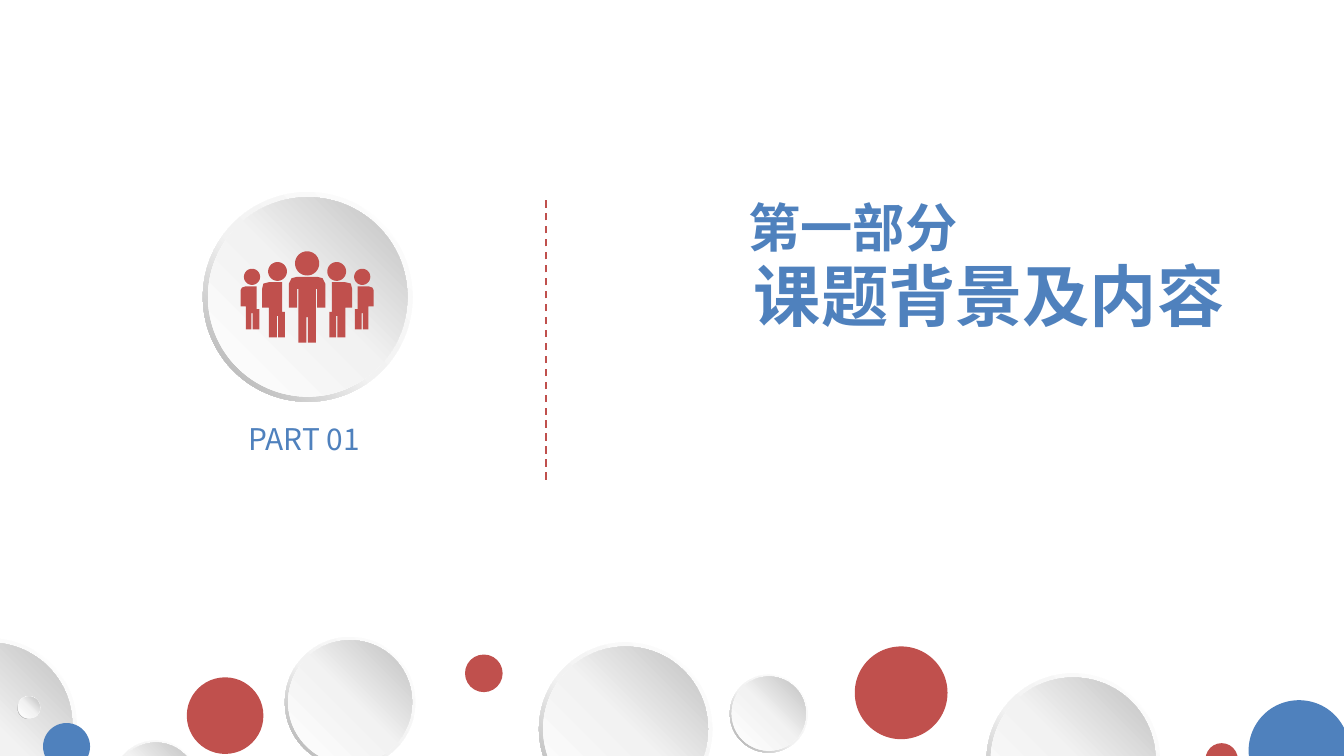
import copy
import math

import pptx
import pptx.dml.color
import pptx.enum.dml
import pptx.enum.shapes
import pptx.enum.text
import pptx.oxml
import pptx.oxml.ns
import pptx.util

Inches = pptx.util.Inches
Pt = pptx.util.Pt
Shape = pptx.enum.shapes.MSO_SHAPE
Align = pptx.enum.text.PP_ALIGN
qn = pptx.oxml.ns.qn

# Theme: gradients are (position, colour) stops with a counter-clockwise angle
THEME = {
    "font": "Noto Sans CJK SC",
    "blue": "4F81BD",
    "red": "C0504D",
    "rim": ([(0, "FFFFFF"), (0.55, "F2F2F2"), (1, "A6A6A6")], 225),
    "face": ([(0, "FFFFFF"), (0.51, "F2F2F2"), (1, "BFBFBF")], 45),
    "part": 28, "heading": 36, "label": 16,
    "title_spacing": 0.96, "label_spacing": 1.0, "rim_width": 0.049,
}

# Content
TITLE_LINES = [("第一部分", "part", Align.LEFT), ("课题背景及内容", "heading", Align.CENTER)]
LABEL_LINES = [("PART 01", "label", Align.LEFT)]

# Buttons: left, top, diameter, finish
BADGE = (1.51, 1.43, 1.56, "pearl")
BUBBLES = [
    (4.01, 4.78, 1.29, "pearl"), (6.36, 4.81, 0.69, "red"),
    (2.12, 4.74, 0.97, "pearl"), (9.29, 5.21, 0.75, "blue"),
    (0.84, 5.51, 0.64, "pearl"), (3.46, 4.87, 0.28, "red"),
    (5.43, 5.02, 0.58, "pearl"), (7.34, 5.01, 1.29, "pearl"),
    (8.97, 5.53, 0.24, "red"), (-0.72, 4.75, 1.29, "pearl"),
    (1.39, 5.04, 0.57, "red"), (0.32, 5.38, 0.35, "blue"),
    (0.13, 5.18, 0.17, "pearl"),
]

# People icon: heads are (centre x, centre y, radius); the right side mirrors the left
AXIS = 2.285
UNITS_PER_INCH = 10000
LEADER_HEAD = (AXIS, 1.96, 0.09)
LEADER_HALF = [
    (2.28, 2.36), (2.28, 2.55), (2.22, 2.55), (2.22, 2.15), (2.21, 2.15),
    (2.21, 2.29), (2.15, 2.29), (2.15, 2.11), (2.17, 2.07), (2.21, 2.06),
]
SIDE_HEADS = [(2.065, 2.02, 0.07), (1.875, 2.06, 0.06)]
SIDE_BODIES = [
    [(2.12, 2.32), (2.12, 2.51), (2.07, 2.51), (2.07, 2.35), (2.06, 2.35),
     (2.06, 2.51), (2.00, 2.51), (2.00, 2.29), (1.95, 2.29), (1.95, 2.15),
     (1.96, 2.11), (2.00, 2.10), (2.10, 2.10), (2.10, 2.32)],
    [(1.93, 2.30), (1.93, 2.45), (1.88, 2.45), (1.88, 2.33), (1.87, 2.33),
     (1.87, 2.45), (1.83, 2.45), (1.83, 2.28), (1.79, 2.28), (1.79, 2.16),
     (1.80, 2.14), (1.83, 2.13), (1.91, 2.13), (1.91, 2.30)],
]


def rgb(name):
    return pptx.dml.color.RGBColor.from_string(THEME.get(name, name))


def paint(shape, finish):
    """Fill a shape with a theme colour or gradient, without line or shadow."""
    shape.shadow.inherit = False
    shape.line.fill.background()
    if isinstance(THEME[finish], str):
        shape.fill.solid()
        shape.fill.fore_color.rgb = rgb(finish)
        return
    stops, angle = THEME[finish]
    shape.fill.gradient()
    shape.fill.gradient_angle = angle
    stop_list = shape._element.spPr.find(qn("a:gradFill")).find(qn("a:gsLst"))
    stop_list.append(copy.deepcopy(stop_list[0]))
    for stop, (position, colour) in zip(shape.fill.gradient_stops, stops):
        stop.position = position
        stop.color.rgb = rgb(colour)


def add_button(page, left, top, size, finish):
    """A thin ring around a disc."""
    rim, face = ("rim", "face") if finish == "pearl" else (finish, finish)
    inset = size * THEME["rim_width"] / 2
    for kind, gap, fill in ((Shape.DONUT, 0, rim), (Shape.OVAL, inset, face)):
        side = Inches(size - 2 * gap)
        shape = page.shapes.add_shape(kind, Inches(left + gap), Inches(top + gap), side, side)
        if kind == Shape.DONUT:
            shape.adjustments[0] = THEME["rim_width"]
        paint(shape, fill)


def mirror(points):
    return [(2 * AXIS - x, y) for x, y in points]


def circle(x, y, radius, steps=36):
    angles = [2 * math.pi * step / steps for step in range(steps)]
    return [(x + radius * math.cos(a), y + radius * math.sin(a)) for a in angles]


def add_people(page):
    sides = [circle(*head) for head in SIDE_HEADS] + SIDE_BODIES
    leader = LEADER_HALF + mirror(LEADER_HALF)[::-1]
    outlines = [circle(*LEADER_HEAD), leader] + sides + [mirror(side) for side in sides]
    outlines = [[(round(x * UNITS_PER_INCH), round(y * UNITS_PER_INCH)) for x, y in outline]
                for outline in outlines]
    builder = page.shapes.build_freeform(*outlines[0][0], scale=Inches(1) / UNITS_PER_INCH)
    for number, outline in enumerate(outlines):
        if number:
            builder.move_to(*outline[0])
        builder.add_line_segments(outline[1:], close=True)
    paint(builder.convert_to_shape(), "red")


def write(box, lines, bold, spacing, margins):
    frame = box.text_frame
    settings = {"word_wrap": True, "vertical_anchor": pptx.enum.text.MSO_ANCHOR.TOP,
                "auto_size": pptx.enum.text.MSO_AUTO_SIZE.NONE}
    settings.update(zip(("margin_left", "margin_top", "margin_right", "margin_bottom"), margins))
    for name, value in settings.items():
        setattr(frame, name, value)
    for number, (text, size, align) in enumerate(lines):
        para = frame.add_paragraph() if number else frame.paragraphs[0]
        para.alignment = align
        para.line_spacing = THEME[spacing]
        para.space_before = Pt(0)
        span = para.add_run()
        span.text = text
        for name, value in {"name": THEME["font"], "size": Pt(THEME[size]), "bold": bold}.items():
            setattr(span.font, name, value)
        span.font.color.rgb = rgb("blue")
        east_asian = pptx.oxml.parse_xml(f'<a:ea {pptx.oxml.ns.nsdecls("a")}/>')
        east_asian.set("typeface", THEME["font"])
        span._r.get_or_add_rPr().append(east_asian)


def main():
    # Widescreen page, 16 by 9
    deck = pptx.Presentation()
    deck.slide_width = Inches(10)
    deck.slide_height = deck.slide_width * 9 // 16
    page = deck.slides.add_slide(deck.slide_layouts[5])

    # Section title, first line slightly indented
    title = page.shapes.title
    place = {"left": 5.43, "top": 1.43, "width": 3.74, "height": 1.18}
    for name, value in place.items():
        setattr(title, name, Inches(value))
    side, edge = Inches(0.02), Inches(0.05)
    write(title, TITLE_LINES, True, "title_spacing", (side, edge, side, edge))
    title.text_frame.paragraphs[0]._p.get_or_add_pPr().set("marL", str(Inches(0.12)))

    # Dashed divider
    divider = page.shapes.add_connector(
        pptx.enum.shapes.MSO_CONNECTOR.STRAIGHT,
        Inches(4.06), Inches(3.57), Inches(4.06), Inches(1.47))
    divider.line.color.rgb = rgb("red")
    divider.line.width = Pt(1)
    divider.line.dash_style = pptx.enum.dml.MSO_LINE.DASH
    effects = pptx.oxml.parse_xml(f'<a:effectLst {pptx.oxml.ns.nsdecls("a")}/>')
    divider._element.spPr.append(effects)

    # Part label
    label = page.shapes.add_textbox(Inches(1.85), Inches(3.13), Inches(0.99), Inches(0.27))
    write(label, LABEL_LINES, False, "label_spacing", (0, 0, 0, 0))

    # Badge with people icon
    add_button(page, *BADGE)
    add_people(page)

    # Bubbles along the bottom edge
    for bubble in BUBBLES:
        add_button(page, *bubble)

    deck.save("out.pptx")


if __name__ == "__main__":
    main()
